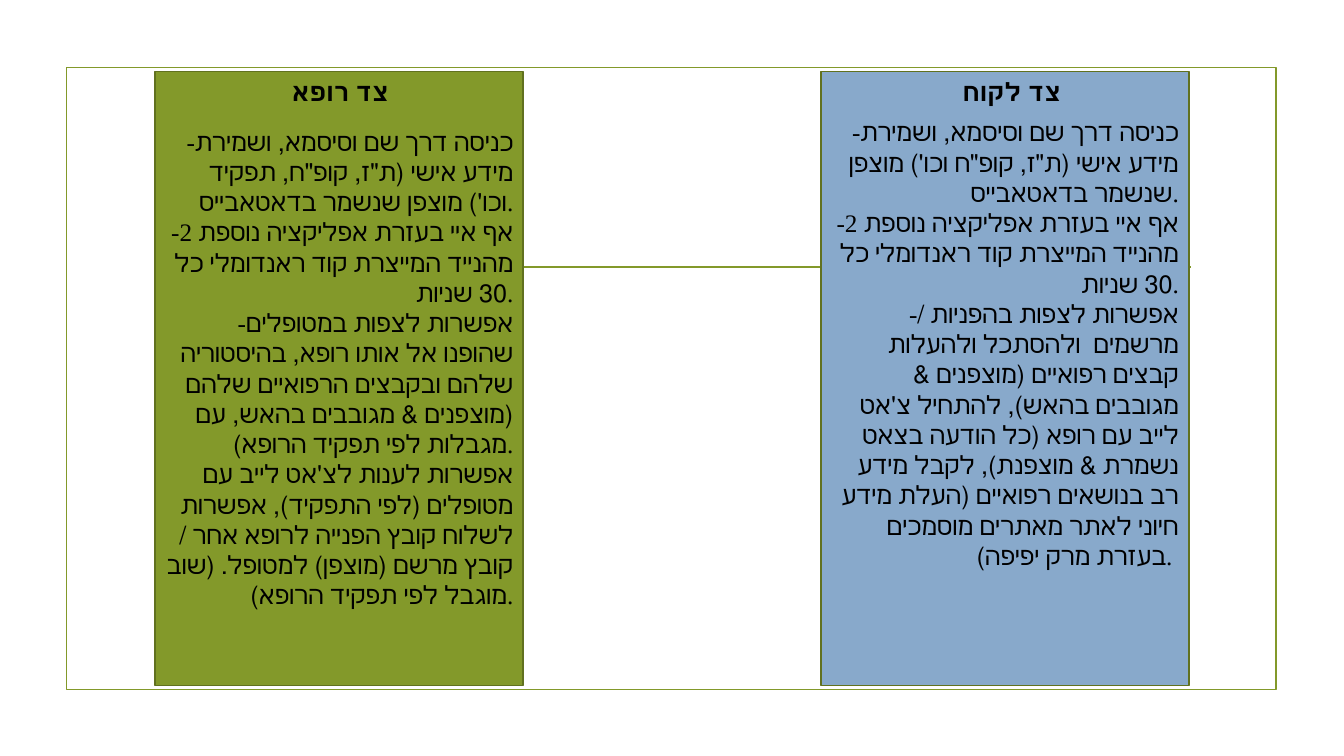
"""Build a slide comparing the client side and the doctor side of a medical app."""
from dataclasses import dataclass

from lxml.etree import SubElement
from pptx import Presentation
from pptx.dml.color import RGBColor
from pptx.enum.lang import MSO_LANGUAGE_ID
from pptx.enum.shapes import MSO_CONNECTOR, MSO_SHAPE
from pptx.enum.text import MSO_AUTO_SIZE, PP_ALIGN
from pptx.oxml.ns import qn
from pptx.util import Inches, Pt


@dataclass(frozen=True)
class Theme:
    green: RGBColor = RGBColor.from_string("83992A")
    olive: RGBColor = RGBColor.from_string("61711F")
    blue: RGBColor = RGBColor.from_string("88A9CB")
    black: RGBColor = RGBColor.from_string("000000")
    font: str = "Times New Roman"
    size: Pt = Pt(18)
    line: Pt = Pt(1.25)


theme = Theme()
prs = Presentation()
prs.slide_width, prs.slide_height = Inches(13.33), Inches(7.5)
s = prs.slides.add_slide(prs.slide_layouts[6])


def add_rect(left, top, width, height, fill, line):
    sp = s.shapes.add_shape(MSO_SHAPE.RECTANGLE, Inches(left), Inches(top), Inches(width), Inches(height))
    sp.shadow.inherit = False
    if fill is None:
        sp.fill.background()
    else:
        sp.fill.solid()
        sp.fill.fore_color.rgb = fill
    sp.line.color.rgb = line
    sp.line.width = theme.line


def add_text(left, top, width, height, paragraphs, align, bold=False):
    sp = s.shapes.add_textbox(Inches(left), Inches(top), Inches(width), Inches(height))
    tf = sp.text_frame
    tf.word_wrap = True
    tf.auto_size = MSO_AUTO_SIZE.SHAPE_TO_FIT_TEXT
    for i, text in enumerate(paragraphs):
        p = tf.add_paragraph() if i else tf.paragraphs[0]
        p.alignment = align
        r = p.add_run()
        r.text = text
        r.font.name = theme.font
        r.font.size = theme.size
        r.font.bold = bold
        r.font.color.rgb = theme.black
        r.font.language_id = MSO_LANGUAGE_ID.HEBREW


add_rect(0.66, 0.67, 12, 6.17, None, theme.green)

divider = s.shapes.add_connector(MSO_CONNECTOR.STRAIGHT, Inches(1.53), Inches(2.65), Inches(11.81), Inches(2.65))
divider.line.color.rgb = theme.green
divider.line.width = theme.line
SubElement(divider._element.spPr, qn("a:effectLst"))

two_factor = "-2 אף איי בעזרת אפליקציה נוספת מהנייד המייצרת קוד ראנדומלי כל 30 שניות."
client_points = [
    "-כניסה דרך שם וסיסמא, ושמירת מידע אישי (ת\"ז, קופ\"ח וכו') מוצפן שנשמר בדאטאבייס.",
    two_factor,
    "-אפשרות לצפות בהפניות / מרשמים  ולהסתכל ולהעלות קבצים רפואיים (מוצפנים & מגובבים בהאש), "
    "להתחיל צ'אט לייב עם רופא (כל הודעה בצאט נשמרת & מוצפנת), לקבל מידע רב בנושאים רפואיים "
    "(העלת מידע חיוני לאתר מאתרים מוסמכים בעזרת מרק יפיפה). ",
]
doctor_points = [
    "-כניסה דרך שם וסיסמא, ושמירת מידע אישי (ת\"ז, קופ\"ח, תפקיד וכו') מוצפן שנשמר בדאטאבייס.",
    two_factor,
    "-אפשרות לצפות במטופלים שהופנו אל אותו רופא, בהיסטוריה שלהם ובקבצים הרפואיים שלהם "
    "(מוצפנים & מגובבים בהאש, עם מגבלות לפי תפקיד הרופא).",
    "אפשרות לענות לצ'אט לייב עם מטופלים (לפי התפקיד), אפשרות לשלוח קובץ הפנייה לרופא אחר / "
    "קובץ מרשם (מוצפן) למטופל. (שוב מוגבל לפי תפקיד הרופא).",
]

panel_top, panel_width, panel_height = 0.71, 3.65, 6.09
sides = [
    (8.14, theme.blue, "צד לקוח", 9.45, 1.42, PP_ALIGN.LEFT, client_points, 1.11, 4.64),
    (1.54, theme.green, "צד רופא", 2.47, 1.81, PP_ALIGN.CENTER, doctor_points, 1.2, 5.25),
]
for left, fill, title, title_left, title_width, title_align, points, top, height in sides:
    add_rect(left, panel_top, panel_width, panel_height, fill, theme.olive)
    add_text(title_left, panel_top, title_width, 0.4, [title], title_align, bold=True)
    add_text(left, top, panel_width, height, points, PP_ALIGN.RIGHT)

prs.save("out.pptx")
